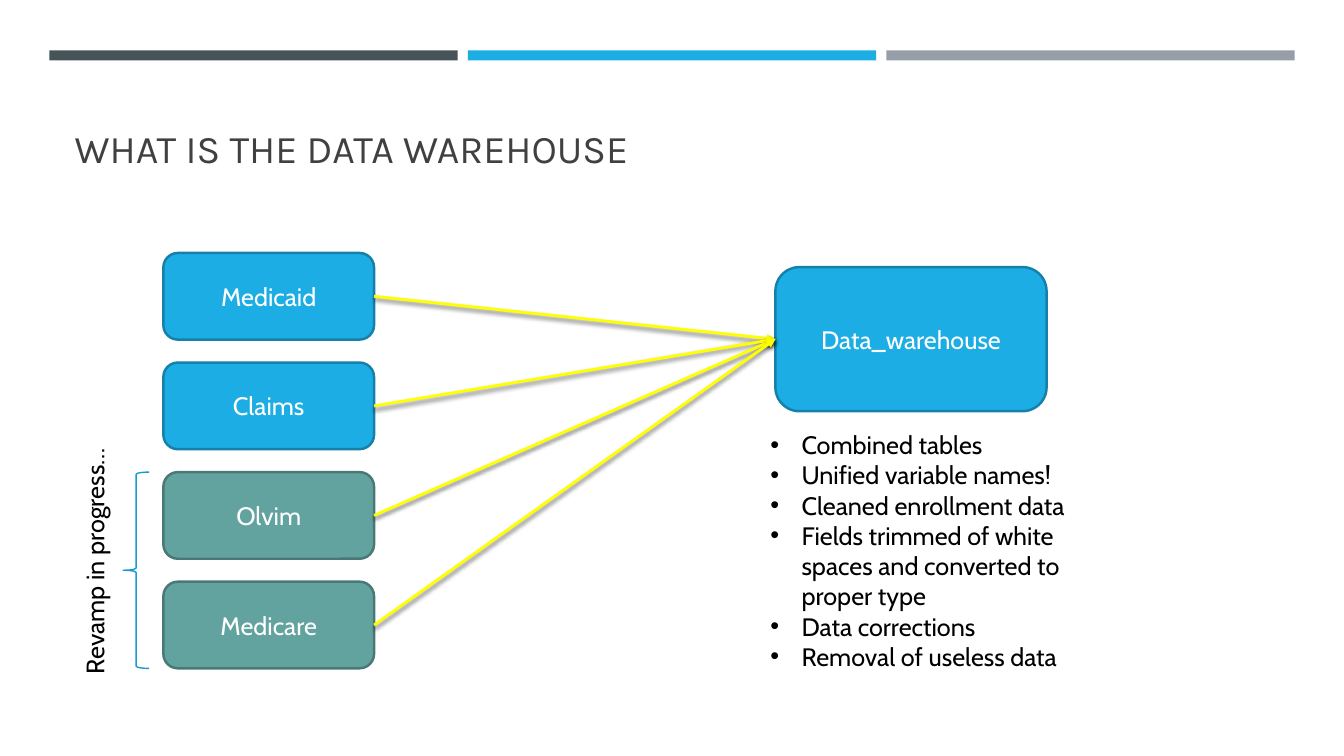
from pptx import Presentation
from pptx.dml.color import RGBColor
from pptx.enum.shapes import MSO_CONNECTOR, MSO_SHAPE as SHAPE
from pptx.enum.text import MSO_ANCHOR as ANCHOR, MSO_AUTO_SIZE as AUTO, PP_ALIGN as ALIGN
from pptx.oxml import parse_xml
from pptx.oxml.ns import nsdecls
from pptx.util import Inches, Pt

BLUE, TEAL = ("1CADE4", "1580A9"), ("62A39F", "497976")  # fill, outline


def rgb(code):
    return RGBColor.from_string(code)


def style(p, text, color, size=18, font="Cabin"):
    p.text = text
    f = p.runs[0].font
    f.name, f.size, f.color.rgb = font, Pt(size), rgb(color)


prs = Presentation()
prs.slide_width, prs.slide_height = Inches(13.33), Inches(7.5)
s = prs.slides.add_slide(prs.slide_layouts[1])
title, body = s.placeholders

# Three bars across the top
for col, color in enumerate(["465359", "1CADE4", "969FA7"]):
    bar = s.shapes.add_shape(SHAPE.RECTANGLE, Inches(0.49 + 4.15 * col), Inches(0.5),
                             Inches(4.05), Inches(0.1))
    bar.shadow.inherit = False
    bar.fill.solid()
    bar.fill.fore_color.rgb = rgb(color)
    bar.line.fill.background()

# Title
title.left, title.top = Inches(0.64), Inches(0.77)
title.width, title.height = Inches(12.06), Inches(0.98)
tf = title.text_frame
tf.auto_size, tf.vertical_anchor = AUTO.NONE, ANCHOR.BOTTOM
style(tf.paragraphs[0], "WHAT IS THE DATA WAREHOUSE", "404040", 28, "Karla")
tf.paragraphs[0].alignment = ALIGN.LEFT

# Source boxes in one column, then the warehouse
row_top, row_step = 2.51, 1.087
sources = [("Medicaid", BLUE), ("Claims", BLUE), ("Olvim", TEAL), ("Medicare", TEAL)]
specs = [(name, 1.62, row_top + row_step * row, 2.09, 0.86, colors)
         for row, (name, colors) in enumerate(sources)]
specs.append(("Data_warehouse", 7.69, 2.65, 2.69, 1.43, BLUE))
boxes = []
for name, x, y, w, h, (fill, outline) in specs:
    sp = s.shapes.add_shape(SHAPE.ROUNDED_RECTANGLE, Inches(x), Inches(y), Inches(w), Inches(h))
    sp.shadow.inherit = False
    sp.fill.solid()
    sp.fill.fore_color.rgb = rgb(fill)
    sp.line.color.rgb, sp.line.width = rgb(outline), Pt(1.75)
    sp.text_frame.vertical_anchor = ANCHOR.MIDDLE
    p = sp.text_frame.paragraphs[0]
    style(p, name, "FFFFFF")
    p.alignment = ALIGN.CENTER
    boxes.append(sp)

# Arrows from every source to the warehouse
*source_boxes, warehouse = boxes
for box in source_boxes:
    arrow = s.shapes.add_connector(MSO_CONNECTOR.STRAIGHT, 0, 0, 0, 0)
    arrow.begin_connect(box, 3)
    arrow.end_connect(warehouse, 1)
    arrow.line.color.rgb, arrow.line.width = rgb("FFFF00"), Pt(2)
    arrow.line._get_or_add_ln().append(parse_xml(f'<a:tailEnd {nsdecls("a")} type="triangle"/>'))
    arrow._element.spPr.append(parse_xml(
        f'<a:effectLst {nsdecls("a")}><a:outerShdw blurRad="{Pt(3)}" dist="{Pt(2)}" dir="5400000" '
        'rotWithShape="0"><a:srgbClr val="000000"><a:alpha val="55000"/></a:srgbClr>'
        '</a:outerShdw></a:effectLst>'))

# Brace and rotated note beside the teal sources
brace = s.shapes.add_shape(SHAPE.LEFT_BRACE, Inches(1.22), Inches(row_top + 2 * row_step),
                           Inches(0.26), Inches(row_step + 0.86))
brace.shadow.inherit = False
brace.fill.background()
brace.line.color.rgb, brace.line.width = rgb("189CCE"), Pt(1)

note = s.shapes.add_textbox(Inches(-0.31), Inches(5.34), Inches(2.49), Inches(0.4))
note.rotation = 270
note.text_frame.word_wrap = False
style(note.text_frame.paragraphs[0], "Revamp in progress…", "000000")

# Benefits list
body.left, body.top = Inches(7.54), Inches(4.21)
body.width, body.height = Inches(3.35), Inches(2.52)
tf = body.text_frame
tf.auto_size, tf.vertical_anchor = AUTO.NONE, ANCHOR.TOP
benefits = ["Combined tables", "Unified variable names!", "Cleaned enrollment data",
            "Fields trimmed of white spaces and converted to proper type",
            "Data corrections", "Removal of useless data"]
for i, benefit in enumerate(benefits):
    p = tf.add_paragraph() if i else tf.paragraphs[0]
    style(p, benefit, "000000")
    p.space_before = Pt(0)
    pPr = p._p.get_or_add_pPr()
    pPr.set("marL", str(Inches(0.31)))
    pPr.set("indent", str(Inches(-0.31)))
    pPr.append(parse_xml(f'<a:buFont {nsdecls("a")} typeface="Arial"/>'))
    pPr.append(parse_xml(f'<a:buChar {nsdecls("a")} char="•"/>'))

prs.save("out.pptx")
